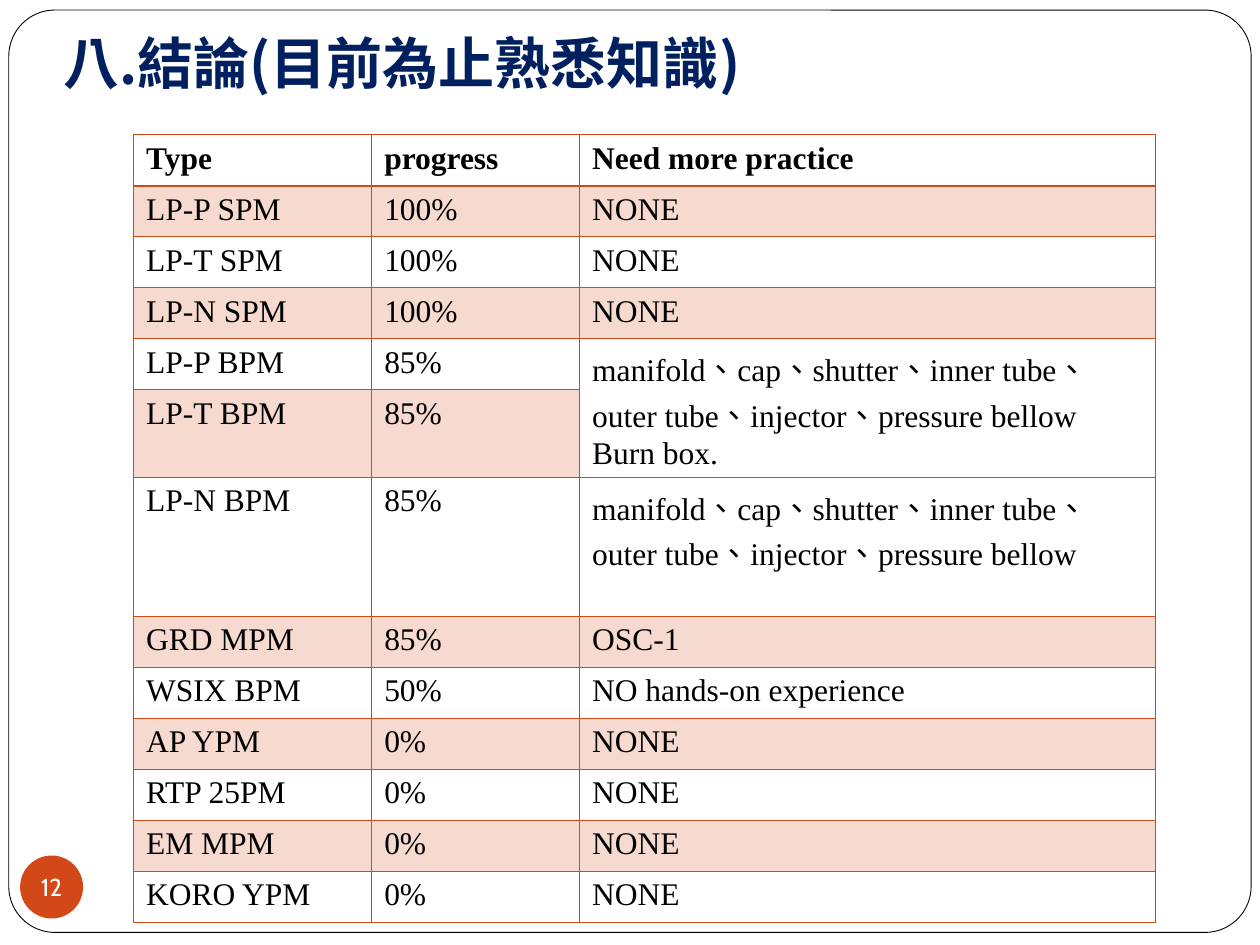
from lxml.etree import SubElement
from pptx import Presentation
from pptx.dml.color import RGBColor as Rgb
from pptx.enum.lang import MSO_LANGUAGE_ID as Lang
from pptx.enum.shapes import MSO_SHAPE as Kind
from pptx.enum.text import MSO_ANCHOR as Anchor, PP_ALIGN as Align
from pptx.oxml.ns import qn
from pptx.util import Inches, Pt

HEX = {"rust": "D34817", "navy": "002060", "black": "000000", "white": "FFFFFF"}
CJK = "Noto Sans CJK SC"
TITLE = "八.結論(目前為止熟悉知識)"
PAGE = "12"
PARTS = "manifold、cap、shutter、inner tube、outer tube、injector、pressure bellow"
ROWS = [
    ("Type", "progress", "Need more practice"),
    ("LP-P SPM", "100%", "NONE"),
    ("LP-T SPM", "100%", "NONE"),
    ("LP-N SPM", "100%", "NONE"),
    ("LP-P BPM", "85%", PARTS + "  Burn box."),
    ("LP-T BPM", "85%", ""),
    ("LP-N BPM", "85%", PARTS),
    ("GRD MPM", "85%", "OSC-1"),
    ("WSIX BPM", "50%", "NO hands-on experience"),
    ("AP YPM", "0%", "NONE"),
    ("RTP 25PM", "0%", "NONE"),
    ("EM MPM", "0%", "NONE"),
    ("KORO YPM", "0%", "NONE"),
]
COLS = (1.89, 1.65, 4.57)
ROW = 0.405
TALL = {5: 0.6, 6: 1}


def tint(name):
    return Rgb.from_string(HEX[name])


def style(para, size, face, name, bold=False):
    for run in para.runs:
        font = run.font
        font.size, font.name, font.bold = Pt(size), face, bold
        font.color.rgb = tint(name)
        font.language_id = Lang.TRADITIONAL_CHINESE
        latin = run.font._element.find(qn("a:latin"))
        east = latin.makeelement(qn("a:ea"), {"typeface": CJK})
        latin.addnext(east)


def edge(cell, side, width):
    line = SubElement(cell._tc.get_or_add_tcPr(), qn("a:ln" + side), w=str(Pt(width)))
    fill = SubElement(line, qn("a:solidFill"))
    SubElement(fill, qn("a:srgbClr"), val=HEX["rust"])


def shape(slide, kind, box, fill):
    item = slide.shapes.add_shape(kind, *map(Inches, box))
    item.shadow.inherit = False
    item.fill.solid()
    item.fill.fore_color.rgb = tint(fill)
    return item


def add_frame(slide):
    frame = shape(slide, Kind.ROUNDED_RECTANGLE, (0.07, 0.08, 9.86, 7.32), "white")
    frame.adjustments[0] = 0.05
    frame.line.color.rgb = tint("black")
    frame.line.width = Pt(0.5)


def add_badge(slide):
    badge = shape(slide, Kind.OVAL, (0.16, 6.79, 0.5, 0.5), "rust")
    badge.line.fill.background()
    text = badge.text_frame
    text.margin_left = text.margin_right = text.margin_top = text.margin_bottom = 0
    text.word_wrap = False
    text.vertical_anchor = Anchor.MIDDLE
    text.text = PAGE
    text.paragraphs[0].alignment = Align.CENTER
    style(text.paragraphs[0], 14, "Cabin", "white")


def add_grid(slide):
    highs = [TALL.get(r, ROW) for r in range(len(ROWS))]
    box = (1.06, 1.07, sum(COLS), sum(highs))
    grid = slide.shapes.add_table(len(ROWS), len(COLS), *map(Inches, box)).table
    for col, wide in zip(grid.columns, COLS):
        col.width = Inches(wide)
    for r, (words, high) in enumerate(zip(ROWS, highs)):
        grid.rows[r].height = Inches(high)
        for c, word in enumerate(words):
            cell = grid.cell(r, c)
            cell.text = word
            style(cell.text_frame.paragraphs[0], 18, "Times New Roman", "black", r == 0)
            for side in "LRTB":
                heavy = (r, side) in ((0, "B"), (1, "T"))
                edge(cell, side, 0.96 if heavy else 0.45)
            if r % 2:
                cell.fill.solid()
                cell.fill.fore_color.rgb = tint("rust")
                hue = cell._tc.tcPr.find(qn("a:solidFill") + "/" + qn("a:srgbClr"))
                SubElement(hue, qn("a:alpha"), val="20000")
            else:
                cell.fill.background()
    grid.cell(4, 2).merge(grid.cell(5, 2))
    grid.cell(4, 2).vertical_anchor = Anchor.MIDDLE


def set_title(slide):
    title = slide.shapes.title
    title.left, title.top, title.width, title.height = map(Inches, (0.4, 0.18, 6.26, 1.17))
    text = title.text_frame
    text.text = TITLE
    text.word_wrap = True
    text.vertical_anchor = Anchor.TOP
    text.paragraphs[0].alignment = Align.LEFT
    style(text.paragraphs[0], 32, CJK, "navy", True)
    title.element.getparent().append(title.element)


def main():
    deck = Presentation()
    deck.slide_width, deck.slide_height = Inches(10), Inches(7.5)
    slide = deck.slides.add_slide(deck.slide_layouts[5])
    add_frame(slide)
    add_badge(slide)
    add_grid(slide)
    set_title(slide)
    deck.save("out.pptx")


if __name__ == "__main__":
    main()
